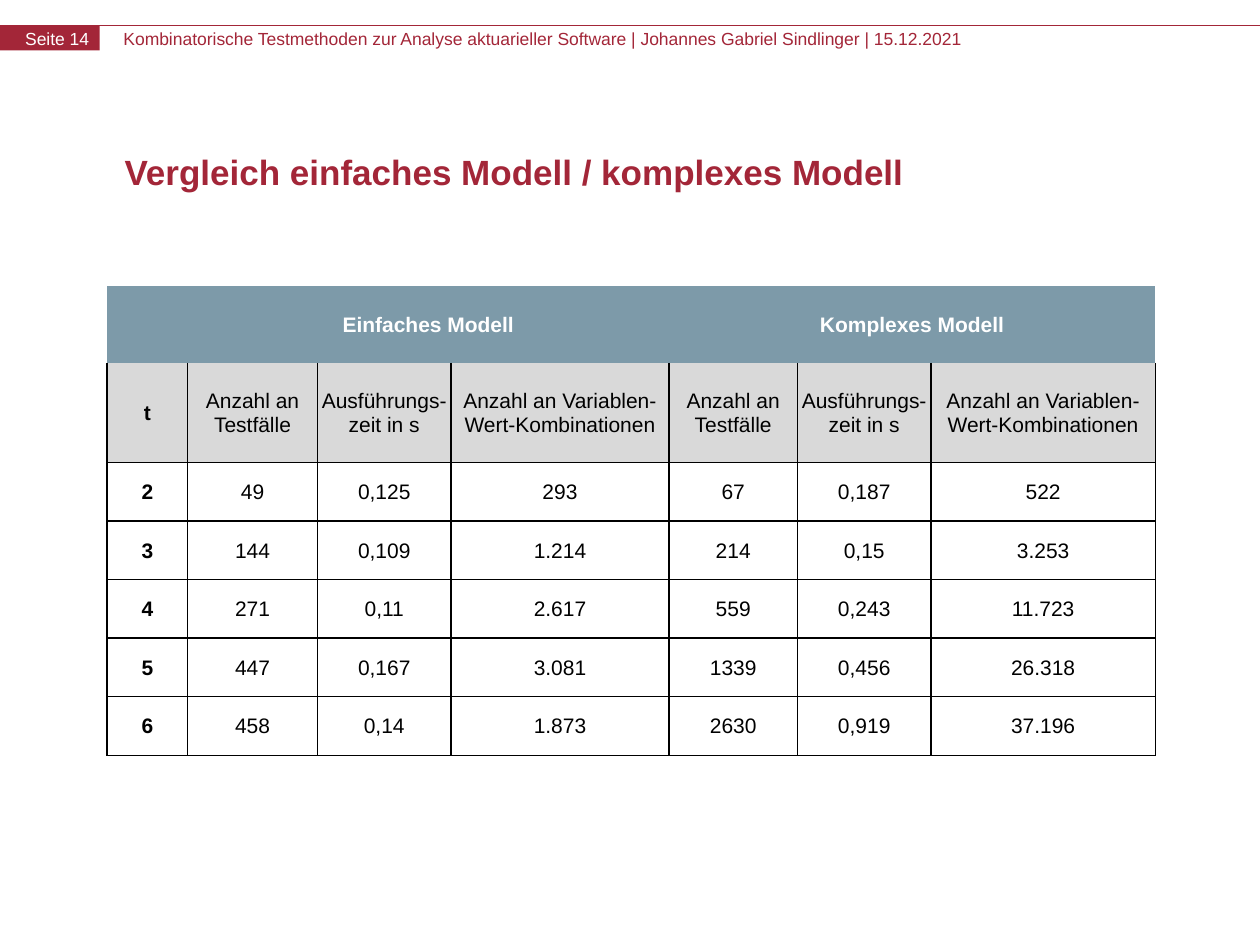
from lxml import etree
from pptx import Presentation
from pptx.dml.color import RGBColor
from pptx.enum.shapes import MSO_CONNECTOR, MSO_SHAPE
from pptx.enum.text import MSO_ANCHOR as Anchor, PP_ALIGN as Align
from pptx.oxml import parse_xml
from pptx.oxml.ns import nsdecls, qn
from pptx.util import Inches, Pt

RED = RGBColor(0xA3, 0x26, 0x38)
BLUE = RGBColor(0x7D, 0x9A, 0xA9)
GREY = RGBColor(0xD9, 0xD9, 0xD9)
BLACK = RGBColor(0, 0, 0)
WHITE = RGBColor(0xFF, 0xFF, 0xFF)

MODELS = ["Einfaches Modell", "Komplexes Modell"]
MEASURES = ["Anzahl an Testfälle", "Ausführungs-zeit in s",
            "Anzahl an Variablen-Wert-Kombinationen"]
RESULTS = [
    ["2", "49", "0,125", "293", "67", "0,187", "522"],
    ["3", "144", "0,109", "1.214", "214", "0,15", "3.253"],
    ["4", "271", "0,11", "2.617", "559", "0,243", "11.723"],
    ["5", "447", "0,167", "3.081", "1339", "0,456", "26.318"],
    ["6", "458", "0,14", "1.873", "2630", "0,919", "37.196"],
]
COLUMN_WIDTHS = [0.64, 1.03, 1.06, 1.73, 1.02, 1.06, 1.78]
ROW_HEIGHTS = [0.61, 0.79] + [0.465] * len(RESULTS)


class SlideBuilder:
    font_name = "Arial"

    def __init__(self, slide):
        self.slide = slide

    def format_runs(self, paragraph, size, color, bold=False):
        for run in paragraph.runs:
            run.font.name = self.font_name
            run.font.size = Pt(size)
            run.font.bold = bold
            run.font.color.rgb = color

    def line(self, left, top, right, bottom, color, width):
        connector = self.slide.shapes.add_connector(
            MSO_CONNECTOR.STRAIGHT, Inches(left), Inches(top), Inches(right), Inches(bottom))
        connector.line.color.rgb = color
        connector.line.width = Pt(width)
        etree.SubElement(connector._element.spPr, qn("a:effectLst"))

    def rectangle(self, left, top, width, height, color):
        shape = self.slide.shapes.add_shape(
            MSO_SHAPE.RECTANGLE, Inches(left), Inches(top), Inches(width), Inches(height))
        shape.shadow.inherit = False
        shape.fill.solid()
        shape.fill.fore_color.rgb = color
        shape.line.fill.background()

    def text(self, left, top, width, height, text, size, color,
             bold=False, insets=(0, 0), anchor=Anchor.TOP, spacing=None):
        box = self.slide.shapes.add_textbox(
            Inches(left), Inches(top), Inches(width), Inches(height))
        frame = box.text_frame
        frame.word_wrap = True
        frame.vertical_anchor = anchor
        frame.margin_left = frame.margin_right = Inches(insets[0])
        frame.margin_top = frame.margin_bottom = Inches(insets[1])
        frame.text = text
        paragraph = frame.paragraphs[0]
        if spacing:
            paragraph.line_spacing = Pt(spacing)
        self.format_runs(paragraph, size, color, bold)

    def table(self, left, top, widths, heights):
        frame = self.slide.shapes.add_table(
            len(heights), len(widths), Inches(left), Inches(top),
            Inches(sum(widths)), Inches(sum(heights)))
        table = frame.table
        for column, width in zip(table.columns, widths):
            column.width = Inches(width)
        for row, height in zip(table.rows, heights):
            row.height = Inches(height)
        return table

    def cell(self, cell, text, color=BLACK, bold=False, fill=None, borders="LRTB"):
        cell.text_frame.text = text
        cell.vertical_anchor = Anchor.MIDDLE
        cell.margin_left = cell.margin_right = cell.margin_top = Inches(0.01)
        cell.margin_bottom = 0
        paragraph = cell.text_frame.paragraphs[0]
        paragraph.alignment = Align.CENTER
        self.format_runs(paragraph, 12, color, bold)
        self.borders(cell, borders)
        if fill is None:
            cell.fill.background()
        else:
            cell.fill.solid()
            cell.fill.fore_color.rgb = fill

    def borders(self, cell, visible):
        properties = cell._tc.get_or_add_tcPr()
        solid = f'<a:solidFill><a:srgbClr val="{BLACK}"/></a:solidFill>'
        for side in "LRTB":
            paint = solid if side in visible else "<a:noFill/>"
            properties.append(parse_xml(
                f'<a:ln{side} {nsdecls("a")} w="12700">{paint}</a:ln{side}>'))


def main():
    presentation = Presentation()
    presentation.slide_width = Inches(10)
    presentation.slide_height = Inches(7.5)
    builder = SlideBuilder(presentation.slides.add_slide(presentation.slide_layouts[6]))

    # Page header
    builder.line(0, 0.2, 10, 0.2, RED, 0.75)
    builder.rectangle(0, 0.2, 0.79, 0.2, RED)
    builder.text(0.98, 0.22, 7.25, 0.17,
                 "Kombinatorische Testmethoden zur Analyse aktuarieller Software"
                 " | Johannes Gabriel Sindlinger | 15.12.2021", 10, RED)
    builder.text(0.2, 0.22, 0.62, 0.33, "Seite 14", 10, WHITE)

    # Title
    builder.text(0.89, 1, 8.53, 0.72, "Vergleich einfaches Modell / komplexes Modell",
                 20, RED, bold=True, insets=(0.1, 0.05), anchor=Anchor.MIDDLE, spacing=24)

    # Comparison table: model names span their measures
    table = builder.table(0.85, 2.27, COLUMN_WIDTHS, ROW_HEIGHTS)
    span = len(MEASURES)
    model_row = [""]
    for model in MODELS:
        model_row += [model] + [""] * (span - 1)
    for column, text in enumerate(model_row):
        builder.cell(table.cell(0, column), text, WHITE, bold=True, fill=BLUE, borders="")
    for first in range(1, len(COLUMN_WIDTHS), span):
        table.cell(0, first).merge(table.cell(0, first + span - 1))

    # Measure names and results
    for row, texts in enumerate([["t"] + MEASURES * len(MODELS)] + RESULTS, start=1):
        for column, text in enumerate(texts):
            builder.cell(table.cell(row, column), text, bold=column == 0,
                         fill=GREY if row == 1 else None,
                         borders="LRB" if row == 1 else "LRTB")

    presentation.save("out.pptx")


if __name__ == "__main__":
    main()
